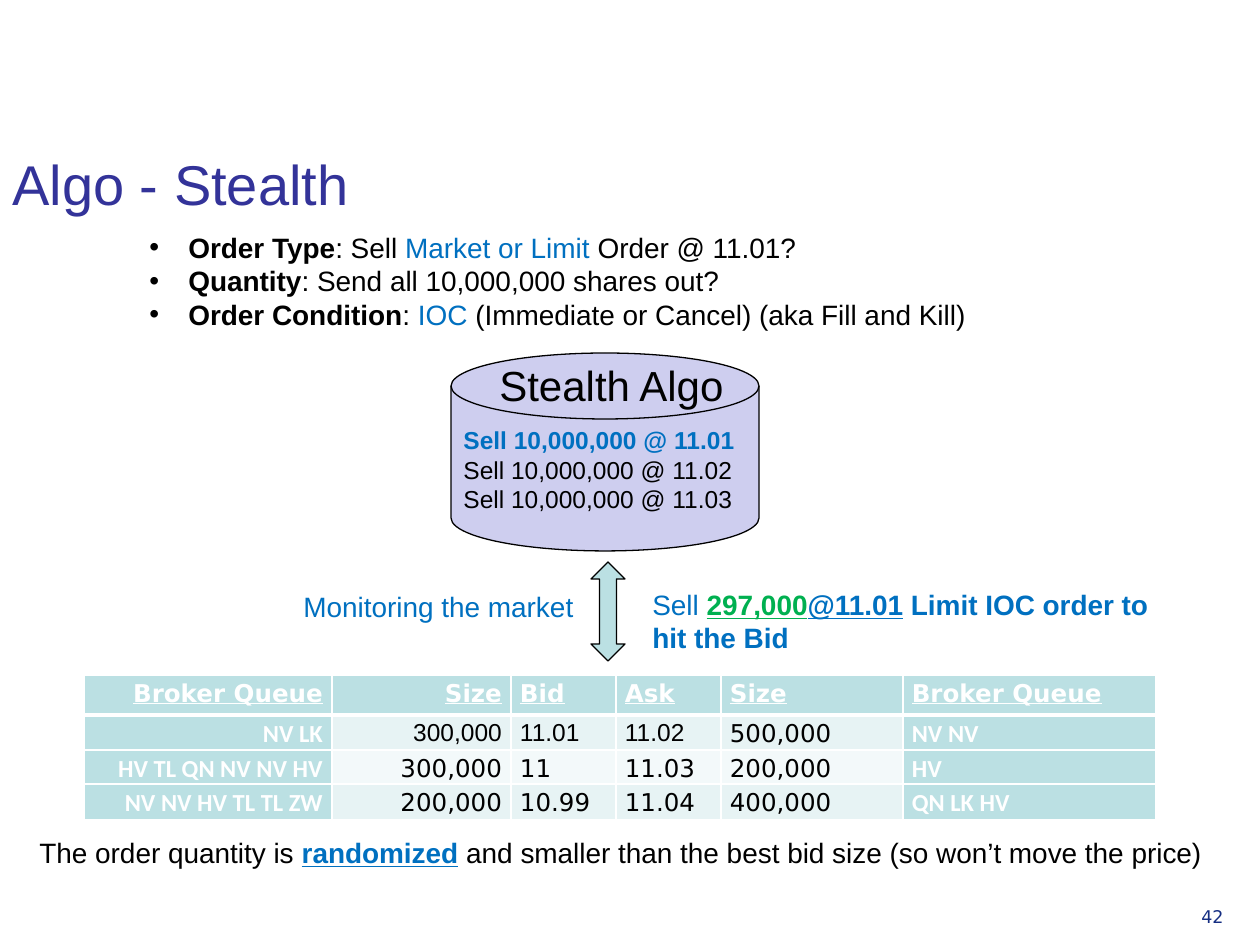
from dataclasses import dataclass
from typing import NamedTuple

from lxml import etree
from pptx import Presentation
from pptx.dml.color import RGBColor
from pptx.enum.shapes import MSO_SHAPE
from pptx.enum.text import MSO_ANCHOR, PP_ALIGN
from pptx.oxml.ns import qn
from pptx.util import Emu, Pt

DISK, ARROW = MSO_SHAPE.FLOWCHART_MAGNETIC_DISK, MSO_SHAPE.UP_DOWN_ARROW
TOP, BOTTOM = MSO_ANCHOR.TOP, MSO_ANCHOR.BOTTOM
LEFT, RIGHT = PP_ALIGN.LEFT, PP_ALIGN.RIGHT
PX_PER_INCH = 126


@dataclass(frozen=True)
class Theme:
    sans: str = "Arial"
    wide: str = "DejaVu Sans"
    broker: str = "Calibri"
    black: str = "000000"
    white: str = "FFFFFF"
    title: str = "333399"
    number: str = "152E82"
    blue: str = "0070C0"
    green: str = "00B050"
    disk: str = "CECEEF"
    teal: str = "BBE0E3"
    band: tuple[str, str] = ("E7F3F4", "F3F9FA")
    title_pt: int = 32
    label_pt: int = 24
    body_pt: int = 16
    cell_pt: int = 14
    number_pt: int = 10


T = Theme()


class Box(NamedTuple):
    x: int
    y: int
    w: int
    h: int


class Run(NamedTuple):
    text: str
    color: str = T.black
    bold: bool = False
    underline: bool = False
    size: int = T.body_pt
    font: str = T.sans


class Label(NamedTuple):
    box: Box
    paragraphs: list[list[Run]]
    wrap: bool = True
    anchor: MSO_ANCHOR = TOP
    bullets: bool = False


def px(n: int) -> Emu:
    return Emu(round(n * 914400 / PX_PER_INCH))


def place(box: Box) -> list[Emu]:
    return [px(n) for n in box]


def set_attrs(target, values: dict) -> None:
    for name, value in values.items():
        setattr(target, name, value)


def add_runs(p, runs: list[Run]) -> None:
    for run in runs:
        r = p.add_run()
        r.text = run.text
        set_attrs(r.font, {"name": run.font, "size": Pt(run.size),
                           "bold": run.bold, "underline": run.underline})
        r.font.color.rgb = RGBColor.from_string(run.color)


def add_bullet(p) -> None:
    p.level = 1
    pPr = p._p.get_or_add_pPr()
    pPr.set("marL", str(px(102)))
    pPr.set("indent", str(px(-39)))
    etree.SubElement(pPr, qn("a:buFont"), typeface=T.sans)
    etree.SubElement(pPr, qn("a:buChar"), char="•")


def fill_text(tf, paragraphs: list[list[Run]], bullets: bool = False) -> None:
    for i, runs in enumerate(paragraphs):
        p = tf.add_paragraph() if i else tf.paragraphs[0]
        p.alignment = LEFT
        if bullets:
            add_bullet(p)
        add_runs(p, runs)


def add_label(shapes, label: Label) -> None:
    tf = shapes.add_textbox(*place(label.box)).text_frame
    set_attrs(tf, {"word_wrap": label.wrap, "vertical_anchor": label.anchor})
    fill_text(tf, label.paragraphs, label.bullets)


def add_outlined(shapes, kind: MSO_SHAPE, box: Box, fill: str):
    sp = shapes.add_shape(kind, *place(box))
    sp.shadow.inherit = False
    sp.fill.solid()
    sp.fill.fore_color.rgb = RGBColor.from_string(fill)
    sp.line.color.rgb = RGBColor.from_string(T.black)
    sp.line.width = Pt(0.75)
    return sp


def set_borders(cell, top: int, bottom: int) -> None:
    tcPr = cell._tc.get_or_add_tcPr()
    for side, width in {"L": 1, "R": 1, "T": top, "B": bottom}.items():
        ln = etree.SubElement(tcPr, qn(f"a:ln{side}"), w=str(Pt(width)))
        etree.SubElement(etree.SubElement(ln, qn("a:solidFill")), qn("a:srgbClr"), val=T.white)


def cell_style(row: int, col: int) -> tuple[str, dict]:
    """Return the fill and the run format of one order book cell."""
    if row == 0:
        return T.teal, {"color": T.white, "bold": True, "underline": True, "font": T.wide}
    if col in (0, 5):
        return T.teal, {"color": T.white, "bold": True, "font": T.broker}
    best_price = row == 1 and col < 4
    return T.band[(row - 1) % 2], {"font": T.sans if best_price else T.wide}


def add_order_book(shapes, box: Box, cols: list[int], heights: list[int],
                   rows: list[list[str]]) -> None:
    table = shapes.add_table(len(rows), len(cols), *place(box)).table
    set_attrs(table, {"first_row": False, "horz_banding": False})
    for column, width in zip(table.columns, cols):
        column.width = px(width)
    for i, (texts, height) in enumerate(zip(rows, heights)):
        table.rows[i].height = px(height)
        for j, text in enumerate(texts):
            cell = table.cell(i, j)
            set_attrs(cell, {"margin_left": px(9), "margin_right": px(9),
                             "margin_top": 0, "margin_bottom": 0})
            fill, style = cell_style(i, j)
            set_borders(cell, top=3 if i == 1 else 1, bottom=1 if i else 3)
            cell.fill.solid()
            cell.fill.fore_color.rgb = RGBColor.from_string(fill)
            p = cell.text_frame.paragraphs[0]
            set_attrs(p, {"alignment": RIGHT if j < 2 else LEFT, "line_spacing": 1.15})
            add_runs(p, [Run(text, size=T.cell_pt, **style)])


LABELS = [
    Label(Box(1189, 900, 69, 49), [[Run("42", T.number, size=T.number_pt, font=T.wide)]]),
    Label(Box(0, 86, 1113, 137), [[Run("Algo - Stealth", T.title, size=T.title_pt)]],
          anchor=BOTTOM),
    Label(Box(640, 581, 543, 81), [[
        Run("Sell ", T.blue), Run("297,000", T.green, True, True),
        Run("@11.01", T.blue, True, True),
        Run(" Limit IOC order to hit the Bid", T.blue, True)]]),
    Label(Box(74, 224, 1111, 115), [
        [Run("Order Type", bold=True), Run(": Sell "), Run("Market or Limit", T.blue),
         Run(" Order @ 11.01?")],
        [Run("Quantity", bold=True), Run(": Send all 10,000,000 shares out?")],
        [Run("Order Condition", bold=True), Run(": "), Run("IOC", T.blue),
         Run(" (Immediate or Cancel) (aka Fill and Kill)")]], bullets=True),
    Label(Box(291, 583, 299, 47), [[Run("Monitoring the market", T.blue)]], wrap=False),
    Label(Box(27, 829, 1211, 47), [[
        Run("The order quantity is "), Run("randomized", T.blue, True, True),
        Run(" and smaller than the best bid size (so won’t move the price)")]], wrap=False),
]
DISK_LABEL = Label(Box(487, 353, 252, 63), [[Run("Stealth Algo", size=T.label_pt)]], wrap=False)
DISK_ORDERS = [
    [Run("Sell 10,000,000 @ 11.01", T.blue, True, size=T.cell_pt)],
    [Run("Sell 10,000,000 @ 11.02", size=T.cell_pt)],
    [Run("Sell 10,000,000 @ 11.03", size=T.cell_pt)],
]
BOOK_COLS = [248, 179, 105, 105, 182, 253]
BOOK_HEIGHTS = [40, 35, 34, 36]
BOOK_ROWS = [
    ["Broker Queue", "Size", "Bid", "Ask", "Size", "Broker Queue"],
    ["NV LK", "300,000", "11.01", "11.02", "500,000", "NV NV"],
    ["HV TL QN NV NV HV", "300,000", "11", "11.03", "200,000", "HV"],
    ["NV NV HV TL TL ZW", "200,000", "10.99", "11.04", "400,000", "QN LK HV"],
]


def main() -> None:
    prs = Presentation()
    set_attrs(prs, {"slide_width": px(1260), "slide_height": px(945)})
    s = prs.slides.add_slide(prs.slide_layouts[6])
    for label in LABELS:
        add_label(s.shapes, label)
    add_order_book(s.shapes, Box(84, 675, sum(BOOK_COLS), sum(BOOK_HEIGHTS)),
                   BOOK_COLS, BOOK_HEIGHTS, BOOK_ROWS)
    algo = s.shapes.add_group_shape().shapes
    tf = add_outlined(algo, DISK, Box(451, 353, 308, 198), T.disk).text_frame
    set_attrs(tf, {"word_wrap": True, "vertical_anchor": TOP})
    fill_text(tf, DISK_ORDERS)
    add_label(algo, DISK_LABEL)
    add_outlined(s.shapes, ARROW, Box(591, 562, 34, 99), T.teal)
    prs.save("out.pptx")


if __name__ == "__main__":
    main()
